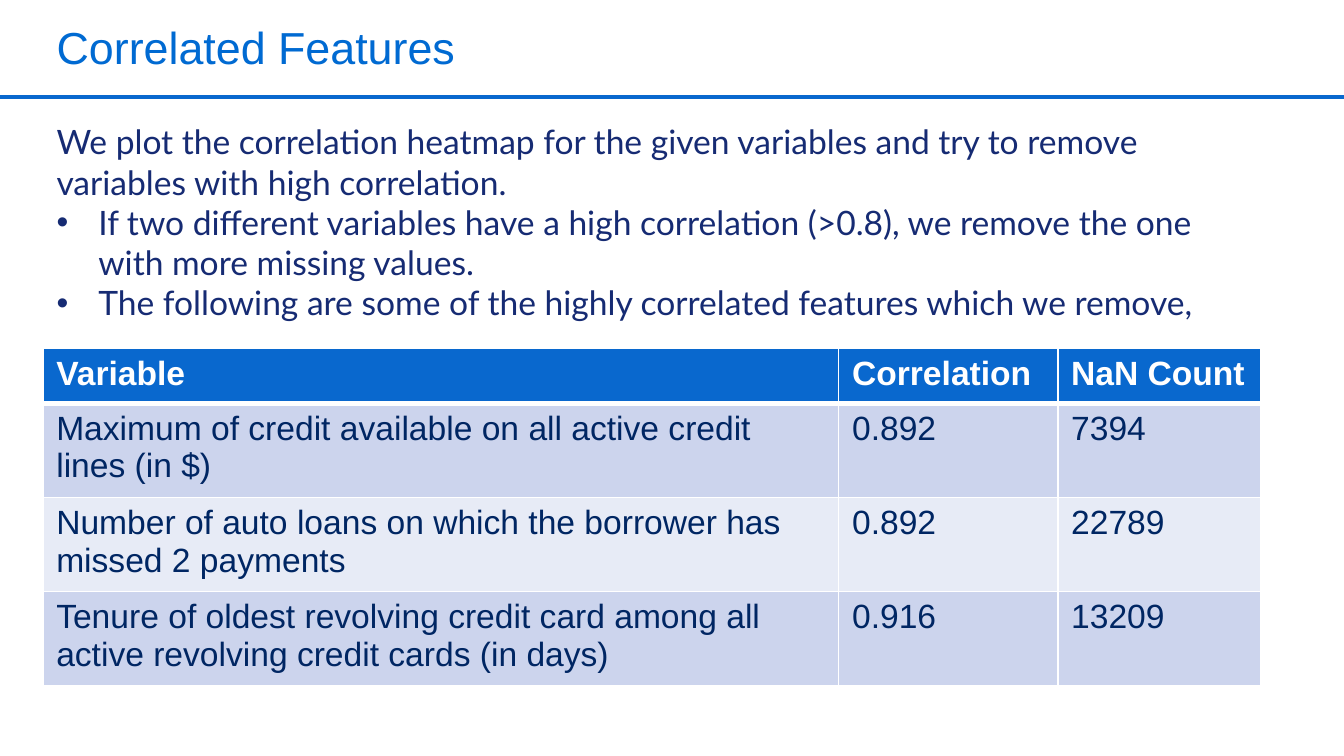
from lxml import etree
from pptx import Presentation, util as u
from pptx.dml.color import RGBColor
from pptx.enum import shapes
from pptx.oxml import ns

COLORS = {
    "title": "006AD2", "accent": "0968CE", "body": "162B73", "cell": "002663",
    "white": "FFFFFF", "band_dark": "CCD4ED", "band_light": "E7EBF6",
}
TITLE = {"name": "Arial", "size": u.Pt(24)}
BODY = {"name": "Lato", "size": u.Pt(18)}
HEADER = {"name": "Arial", "size": u.Pt(18), "bold": True}
CELL = {"name": "Arial", "size": u.Pt(18), "bold": False}


def add_span(para, words, style, color):
    span = para.add_run()
    span.text = words
    for key, value in style.items():
        setattr(span.font, key, value)
    span.font.color.rgb = RGBColor.from_string(COLORS[color])


def add_box(page, left, top, width, height):
    """Add a wrapping text box without margins, in centimetres."""
    box = page.shapes.add_textbox(u.Cm(left), u.Cm(top), u.Cm(width), u.Cm(height))
    frame = box.text_frame
    frame.word_wrap = True
    for side in ("left", "top", "right", "bottom"):
        setattr(frame, f"margin_{side}", 0)
    return frame


deck = Presentation()
deck.slide_width, deck.slide_height = u.Cm(25.4), u.Cm(14.29)
page = deck.slides.add_slide(deck.slide_layouts[6])

# Title and rule
title = add_box(page, 1.07, 0.56, 22.86, 2.08).paragraphs[0]
title.line_spacing = 0.82
add_span(title, "Correlated Features", TITLE, "title")

rule = page.shapes.add_connector(
    shapes.MSO_CONNECTOR.STRAIGHT, 0, u.Cm(1.83), deck.slide_width, u.Cm(1.83))
rule.line.color.rgb = RGBColor.from_string(COLORS["accent"])
rule.line.width = u.Pt(2)
etree.SubElement(rule._element.spPr, ns.qn("a:effectLst"))

# Introduction with bullets
intro = add_box(page, 1.07, 2.29, 22.5, 3.84)
add_span(
    intro.paragraphs[0],
    "We plot the correlation heatmap for the given variables and try to remove "
    "variables with high correlation.", BODY, "body")
bullets = [
    "If two different variables have a high correlation (>0.8), we remove the one "
    "with more missing values.",
    "The following are some of the highly correlated features which we remove,",
]
for words in bullets:
    para = intro.add_paragraph()
    add_span(para, words, BODY, "body")
    props = para._p.get_or_add_pPr()
    props.set("marL", str(u.Cm(0.79)))
    props.set("indent", str(-u.Cm(0.79)))
    etree.SubElement(props, ns.qn("a:buFont"), typeface="Arial")
    etree.SubElement(props, ns.qn("a:buChar"), char="•")

# Table of removed features
rows = [
    ("Variable", "Correlation", "NaN Count"),
    ("Maximum of credit available on all active credit lines (in $)", "0.892", "7394"),
    ("Number of auto loans on which the borrower has missed 2 payments", "0.892", "22789"),
    ("Tenure of oldest revolving credit card among all active revolving credit cards (in days)",
     "0.916", "13209"),
]
widths = [15.04, 4.14, 3.84]
heights = [1.04, 1.78, 1.78, 1.78]
table = page.shapes.add_table(
    len(rows), len(widths), u.Cm(0.81), u.Cm(6.58),
    u.Cm(sum(widths)), u.Cm(sum(heights))).table
for column, width in zip(table.columns, widths):
    column.width = u.Cm(width)
for row, height in zip(table.rows, heights):
    row.height = u.Cm(height)

for r, values in enumerate(rows):
    if r == 0:
        style, color, fill = HEADER, "white", "accent"
    else:
        style, color = CELL, "cell"
        fill = "band_dark" if r % 2 else "band_light"
    for c, value in enumerate(values):
        cell = table.cell(r, c)
        add_span(cell.text_frame.paragraphs[0], value, style, color)
        props = cell._tc.get_or_add_tcPr()
        borders = {"lnL": 1, "lnR": 1, "lnT": 3 if r == 1 else 1, "lnB": 3 if r == 0 else 1}
        for tag, points in borders.items():
            border = etree.SubElement(props, ns.qn(f"a:{tag}"), w=str(u.Pt(points)))
            solid = etree.SubElement(border, ns.qn("a:solidFill"))
            etree.SubElement(solid, ns.qn("a:srgbClr"), val=COLORS["white"])
        cell.fill.solid()
        cell.fill.fore_color.rgb = RGBColor.from_string(COLORS[fill])

deck.save("out.pptx")
